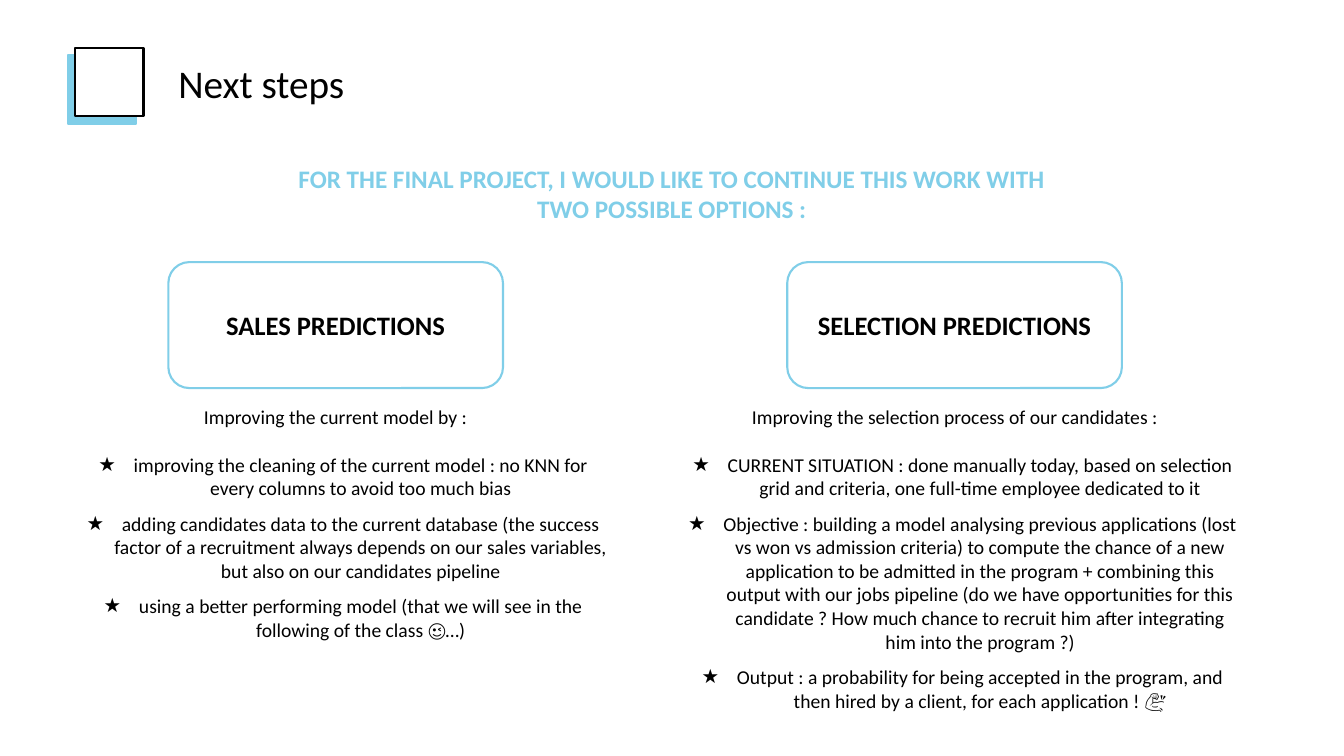
"""Build the "Next steps" slide with its two project options."""
from dataclasses import dataclass

from lxml.etree import SubElement
from pptx import Presentation
from pptx.dml.color import RGBColor
from pptx.enum.shapes import MSO_SHAPE
from pptx.enum.text import MSO_ANCHOR, MSO_AUTO_SIZE, PP_ALIGN
from pptx.oxml.ns import qn
from pptx.shapes.autoshape import Shape
from pptx.slide import Slide
from pptx.text.text import TextFrame
from pptx.util import Pt

COLORS = {"ink": "000000", "paper": "FFFFFF", "sky": "80CEE8"}
FONT = "Calibri"
BODY_SIZE = 14
LEAD_GAP, ITEM_GAP = 17.1, 8.55
CARD_TOP, CARD_WIDTH, CARD_HEIGHT = 187.2, 239.04, 90
LIST_TOP, LIST_HEIGHT = 285.84, 231.84


@dataclass(frozen=True)
class Box:
    """Position and size in points."""
    left: float
    top: float
    width: float
    height: float


@dataclass(frozen=True)
class Option:
    """One project option: a heading card above a starred list."""
    heading: str
    card_left: float
    list_left: float
    list_width: float
    lead: str
    items: tuple[str, ...]


OPTIONS = (
    Option(
        "SALES PREDICTIONS", 120.24, 37.44, 404.64,
        "Improving the current model by :",
        (
            "improving the cleaning of the current model : no KNN for every columns "
            "to avoid too much bias",
            "adding candidates data to the current database (the success factor of a "
            "recruitment always depends on our sales variables, but also on our "
            "candidates pipeline",
            "using a better performing model (that we will see in the following of "
            "the class 😉…)",
        ),
    ),
    Option(
        "SELECTION PREDICTIONS", 562.32, 472.32, 419.76,
        "Improving the selection process of our candidates :",
        (
            "CURRENT SITUATION : done manually today, based on selection grid and "
            "criteria, one full-time employee dedicated to it",
            "Objective : building a model analysing previous applications (lost vs won "
            "vs admission criteria) to compute the chance of a new application to be "
            "admitted in the program + combining this output with our jobs pipeline "
            "(do we have opportunities for this candidate ? How much chance to recruit "
            "him after integrating him into the program ?)",
            "Output : a probability for being accepted in the program, and then hired "
            "by a client, for each application ! 💪",
        ),
    ),
)


def color(name: str) -> RGBColor:
    """Look up a named colour."""
    return RGBColor.from_string(COLORS[name])


def place(shape: Shape, box: Box) -> None:
    """Move and size a shape."""
    shape.left, shape.top = Pt(box.left), Pt(box.top)
    shape.width, shape.height = Pt(box.width), Pt(box.height)


def prepare_frame(frame: TextFrame, anchor: MSO_ANCHOR, side: float, edge: float) -> None:
    """Set wrapping, anchor and margins of a text frame."""
    frame.word_wrap = True
    frame.auto_size = MSO_AUTO_SIZE.NONE
    frame.vertical_anchor = anchor
    frame.margin_left = frame.margin_right = Pt(side)
    frame.margin_top = frame.margin_bottom = Pt(edge)


def write_paragraph(frame: TextFrame, text: str, size: float, ink: str = "ink",
                    bold: bool = False, align: PP_ALIGN = PP_ALIGN.CENTER,
                    before: float = 0, star: bool = False) -> None:
    """Write one paragraph, starred or plain, as a single run."""
    para = frame.paragraphs[0]
    if para.runs:
        para = frame.add_paragraph()
    para.alignment = align
    para.space_before, para.space_after = Pt(before), Pt(0)
    properties = para._p.get_or_add_pPr()
    properties.set("marL", str(Pt(36 if star else 0)))
    properties.set("indent", str(Pt(-25.2 if star else 0)))
    if star:
        bullet_color = SubElement(properties, qn("a:buClr"))
        SubElement(bullet_color, qn("a:srgbClr"), val=COLORS["ink"])
        SubElement(properties, qn("a:buFont"), typeface=FONT)
        SubElement(properties, qn("a:buChar"), char="★")
    else:
        SubElement(properties, qn("a:buNone"))
    span = para.add_run()
    span.text = text
    span.font.name, span.font.size, span.font.bold = FONT, Pt(size), bold
    span.font.color.rgb = color(ink)


def add_panel(page: Slide, kind: MSO_SHAPE, box: Box, fill: str, line: str) -> Shape:
    """Add a flat filled and outlined shape."""
    panel = page.shapes.add_shape(kind, Pt(box.left), Pt(box.top), Pt(box.width), Pt(box.height))
    panel.shadow.inherit = False
    panel.fill.solid()
    panel.fill.fore_color.rgb = color(fill)
    panel.line.color.rgb = color(line)
    panel.line.width = Pt(1.5)
    return panel


def add_header(page: Slide) -> None:
    """Add the title, its square emblem and the introduction."""
    title = page.shapes.title
    place(title, Box(120.24, 38.88, 673.92, 41.04))
    prepare_frame(title.text_frame, MSO_ANCHOR.TOP, 7.2, 3.6)
    write_paragraph(title.text_frame, "Next steps", 28, align=PP_ALIGN.LEFT)
    add_panel(page, MSO_SHAPE.RECTANGLE, Box(48.4, 39.5, 49, 49), "sky", "sky")
    add_panel(page, MSO_SHAPE.RECTANGLE, Box(53.5, 34, 49, 49), "paper", "ink")
    intro = page.shapes.add_textbox(Pt(198), Pt(109.44), Pt(563.76), Pt(58.32))
    prepare_frame(intro.text_frame, MSO_ANCHOR.TOP, 7.2, 7.2)
    write_paragraph(intro.text_frame, "FOR THE FINAL PROJECT, I WOULD LIKE TO CONTINUE "
                    "THIS WORK WITH TWO POSSIBLE OPTIONS :", 18, "sky", bold=True)


def add_option(page: Slide, option: Option, body: Shape) -> None:
    """Add an option's card and fill its list placeholder."""
    card = add_panel(page, MSO_SHAPE.ROUNDED_RECTANGLE,
                     Box(option.card_left, CARD_TOP, CARD_WIDTH, CARD_HEIGHT), "paper", "sky")
    prepare_frame(card.text_frame, MSO_ANCHOR.MIDDLE, 9.36, 9.36)
    write_paragraph(card.text_frame, option.heading, 19, bold=True)
    place(body, Box(option.list_left, LIST_TOP, option.list_width, LIST_HEIGHT))
    prepare_frame(body.text_frame, MSO_ANCHOR.TOP, 7.2, 3.6)
    write_paragraph(body.text_frame, option.lead, BODY_SIZE)
    for index, item in enumerate(option.items):
        gap = ITEM_GAP if index else LEAD_GAP
        write_paragraph(body.text_frame, item, BODY_SIZE, before=gap, star=True)


def main() -> None:
    """Build and save the deck."""
    deck = Presentation()
    deck.slide_width, deck.slide_height = Pt(960), Pt(540)
    page = deck.slides.add_slide(deck.slide_layouts.get_by_name("Two Content"))
    add_header(page)
    for number, option in enumerate(OPTIONS, start=1):
        add_option(page, option, page.placeholders[number])
    deck.save("out.pptx")


if __name__ == "__main__":
    main()
